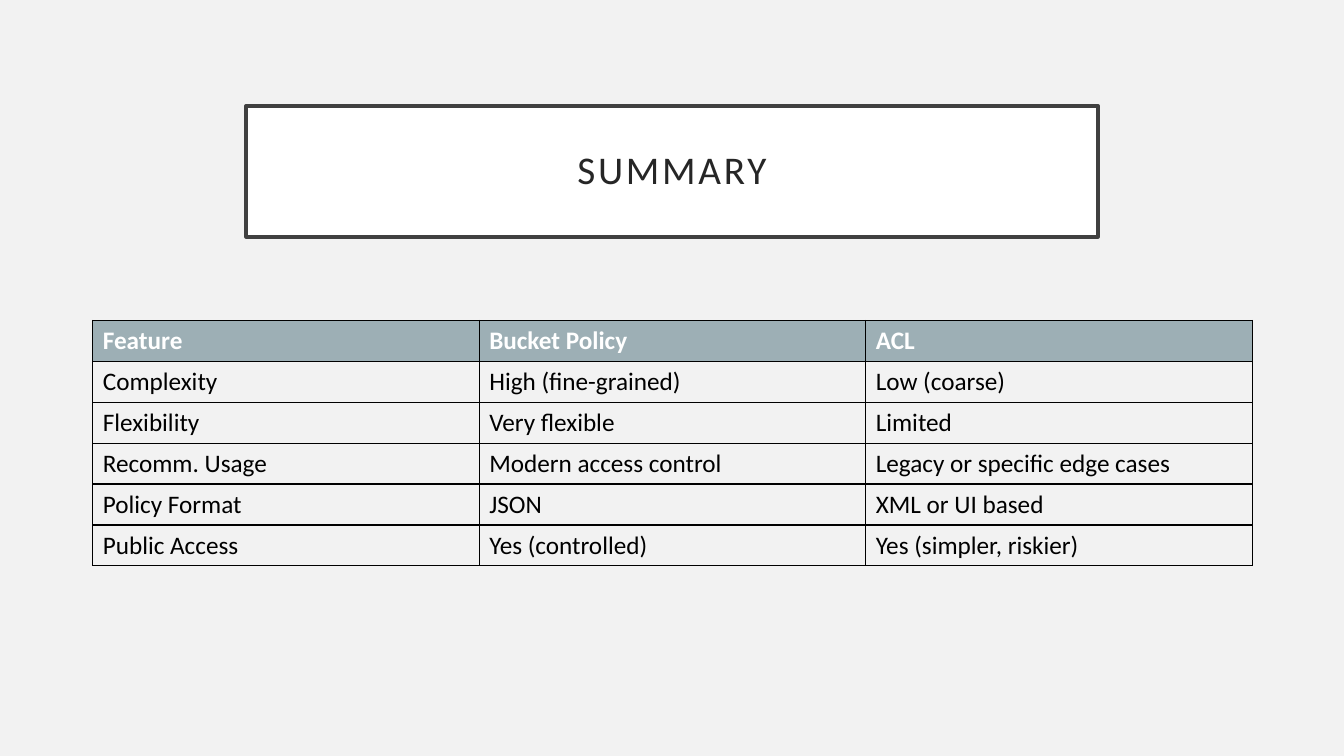
from dataclasses import dataclass

from lxml import etree
from pptx import Presentation
from pptx.dml.color import RGBColor
from pptx.enum.text import MSO_ANCHOR, MSO_AUTO_SIZE, PP_ALIGN
from pptx.oxml.ns import qn
from pptx.util import Inches, Pt

MIDDLE = MSO_ANCHOR.MIDDLE
CENTER = PP_ALIGN.CENTER
NO_FIT = MSO_AUTO_SIZE.NONE
TITLE_ONLY = 5

ROWS = [
    ("Feature", "Bucket Policy", "ACL"),
    ("Complexity", "High (fine-grained)", "Low (coarse)"),
    ("Flexibility", "Very flexible", "Limited"),
    ("Recomm. Usage", "Modern access control", "Legacy or specific edge cases"),
    ("Policy Format", "JSON", "XML or UI based"),
    ("Public Access", "Yes (controlled)", "Yes (simpler, riskier)"),
]


@dataclass(frozen=True)
class Style:
    size: float
    color: str
    bold: bool = False
    fill: str | None = None


TITLE = Style(28, "262626", fill="FFFFFF")
HEAD = Style(18, "FFFFFF", bold=True, fill="9DAFB5")
BODY = Style(18, "000000")


def paint(fill, color: str | None) -> None:
    if color is None:
        fill.background()
    else:
        fill.solid()
        fill.fore_color.rgb = RGBColor.from_string(color)


def write(frame, text: str, style: Style):
    run = frame.paragraphs[0].add_run()
    run.text = text
    values = {"name": "Calibri", "size": Pt(style.size), "bold": style.bold}
    for key, value in values.items():
        setattr(run.font, key, value)
    paint(run.font.fill, style.color)
    return run


def border(cell, color: str, width: float) -> None:
    props = cell._tc.get_or_add_tcPr()
    for side in ("lnL", "lnR", "lnT", "lnB"):
        line = etree.SubElement(props, qn(f"a:{side}"), w=str(Pt(width)))
        fill = etree.SubElement(line, qn("a:solidFill"))
        etree.SubElement(fill, qn("a:srgbClr"), val=color)


def add_title(slide, text: str) -> None:
    title = slide.shapes.title
    place = {"left": 2.44, "top": 1.05, "width": 8.45, "height": 1.3}
    for key, value in place.items():
        setattr(title, key, Inches(value))
    paint(title.fill, TITLE.fill)
    paint(title.line.fill, "404040")
    title.line.width = Pt(2.5)
    frame = title.text_frame
    layout = {"vertical_anchor": MIDDLE, "word_wrap": True, "auto_size": NO_FIT}
    layout |= {f"margin_{side}": Inches(0.2)
               for side in ("left", "right", "top", "bottom")}
    for key, value in layout.items():
        setattr(frame, key, value)
    frame.paragraphs[0].alignment = CENTER
    frame.paragraphs[0].line_spacing = 0.9
    run = write(frame, text, TITLE)
    run.font._element.set("spc", "200")


def add_grid(slide, rows: list[tuple[str, ...]]) -> None:
    table = slide.shapes.add_table(
        len(rows), len(rows[0]),
        Inches(0.92), Inches(3.18), Inches(11.5), Inches(0.4 * len(rows)),
    ).table
    table.horz_banding = False
    for i, row in enumerate(rows):
        style = BODY if i else HEAD
        for j, text in enumerate(row):
            cell = table.cell(i, j)
            cell.vertical_anchor = MIDDLE
            border(cell, "000000", 1)
            paint(cell.fill, style.fill)
            write(cell.text_frame, text, style)


def main() -> None:
    deck = Presentation()
    deck.slide_width, deck.slide_height = Inches(13.33), Inches(7.5)
    slide = deck.slides.add_slide(deck.slide_layouts[TITLE_ONLY])
    paint(slide.background.fill, "F2F2F2")
    add_title(slide, "SUMMARY")
    add_grid(slide, ROWS)
    deck.save("out.pptx")


if __name__ == "__main__":
    main()
